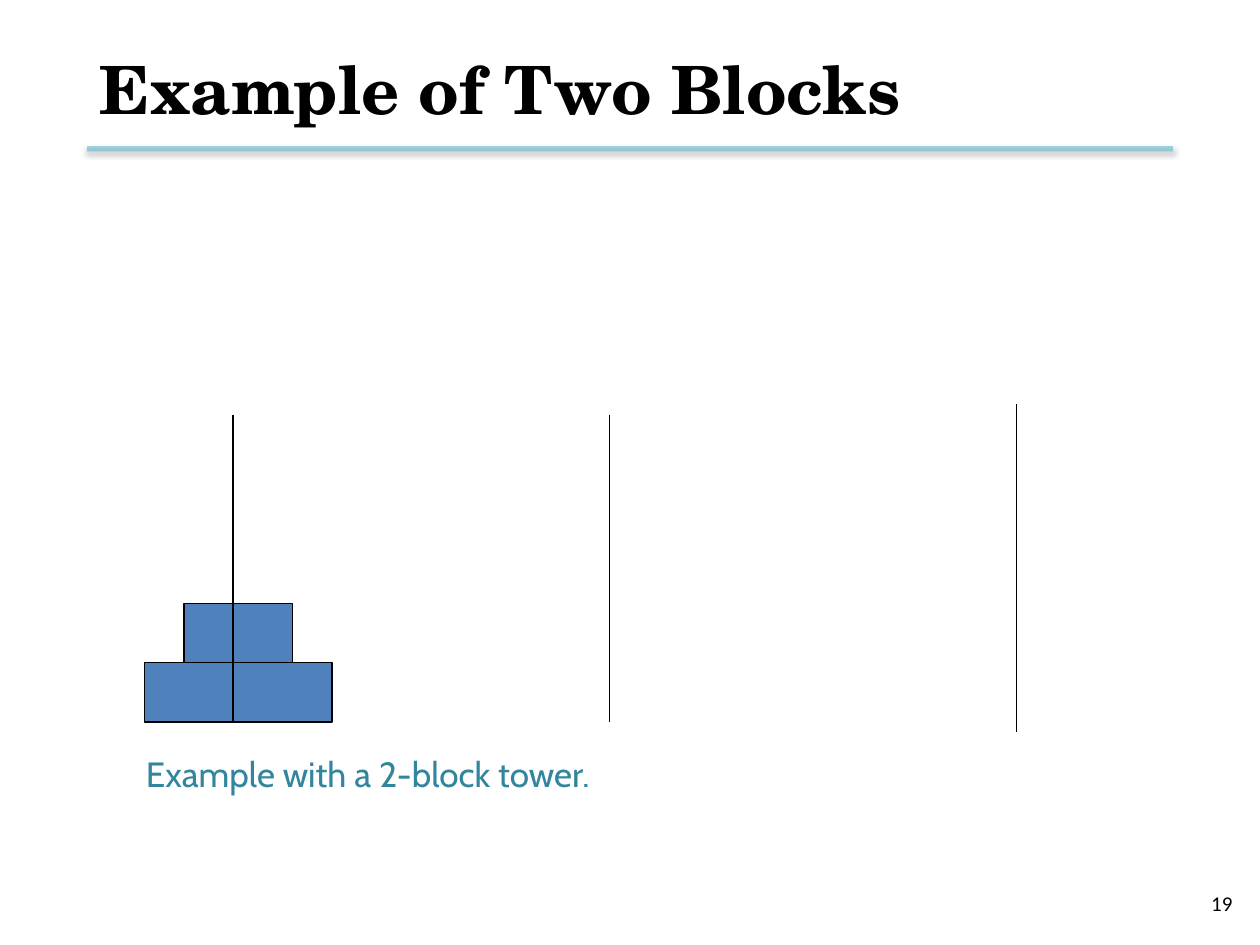
from lxml import etree
from pptx import Presentation
from pptx import util as u
from pptx.dml.color import RGBColor
from pptx.enum import shapes, text
from pptx.oxml import parse_xml
from pptx.oxml.ns import nsdecls, qn

COLORS = {"ink": "000000", "rule": "4BACC6", "block": "4F81BD", "caption": "31859C"}


def color(name):
    return RGBColor.from_string(COLORS[name])


def write(sp, content, size, font, fill="ink", bold=False,
          align=text.PP_ALIGN.LEFT, anchor=text.MSO_ANCHOR.TOP):
    tf = sp.text_frame
    tf.word_wrap = True
    tf.auto_size = text.MSO_AUTO_SIZE.NONE
    tf.vertical_anchor = anchor
    p = tf.paragraphs[0]
    p.alignment = align
    r = p.add_run()
    r.text = content
    r.font.size = u.Pt(size)
    r.font.name = font
    r.font.bold = bold
    r.font.color.rgb = color(fill)


def add_line(s, x1, y1, x2, y2, fill="ink", width=0.75):
    points = [u.Inches(v) for v in (x1, y1, x2, y2)]
    line = s.shapes.add_connector(shapes.MSO_CONNECTOR.STRAIGHT, *points)
    line.line.color.rgb = color(fill)
    line.line.width = u.Pt(width)
    effects = parse_xml(f"<a:effectLst {nsdecls('a')}/>")
    line.line._get_or_add_ln().addnext(effects)
    return line, effects


def add_header(s, left, top, width, height):
    line, effects = add_line(s, left, 1.18, left + width, 1.18, "rule", 3)
    rgb = line.line._get_or_add_ln().find(".//" + qn("a:srgbClr"))
    etree.SubElement(rgb, qn("a:alpha"), val="50000")
    effects.append(parse_xml(
        f'<a:outerShdw {nsdecls("a")} blurRad="{u.Pt(3.1)}" dist="{u.Pt(1.6)}" '
        'dir="5400000" rotWithShape="0"><a:srgbClr val="000000">'
        '<a:alpha val="38000"/></a:srgbClr></a:outerShdw>'))
    title = s.shapes.title
    title.left, title.top = u.Inches(left), u.Inches(top)
    title.width, title.height = u.Inches(width), u.Inches(height)
    write(title, "Example of Two Blocks", 38, "TeX Gyre Schola", bold=True,
          anchor=text.MSO_ANCHOR.MIDDLE)


def add_text(s, box, content, **fmt):
    sp = s.shapes.add_textbox(*[u.Inches(v) for v in box])
    write(sp, content, **fmt)


def add_tower(s, center, base, widths, height):
    for level, width in enumerate(widths, 1):
        box = (center - width / 2, base - level * height, width, height)
        block = s.shapes.add_shape(shapes.MSO_SHAPE.RECTANGLE,
                                   *[u.Inches(v) for v in box])
        block.shadow.inherit = False
        block.fill.solid()
        block.fill.fore_color.rgb = color("block")
        block.line.color.rgb = color("ink")
        block.line.width = u.Pt(0.75)


def add_pegs(s, pegs):
    for x, top, bottom in pegs:
        add_line(s, x, top, x, bottom)


def main():
    prs = Presentation()
    prs.slide_width, prs.slide_height = u.Inches(10), u.Inches(7.5)
    s = prs.slides.add_slide(prs.slide_layouts[5])
    add_header(s, 0.69, 0.17, 8.62, 1.06)
    add_tower(s, 1.89, 5.73, (1.49, 0.86), 0.47)
    add_pegs(s, [(1.85, 3.29, 5.73), (4.84, 3.29, 5.73), (8.07, 3.21, 5.81)])
    add_text(s, (1.06, 5.92, 5.75, 0.44), "Example with a 2-block tower.",
             size=20, font="Cabin", fill="caption")
    add_text(s, (7.55, 6.97, 2.33, 0.4), "19", size=12, font="Calibri",
             align=text.PP_ALIGN.RIGHT, anchor=text.MSO_ANCHOR.MIDDLE)
    prs.save("out.pptx")


if __name__ == "__main__":
    main()
